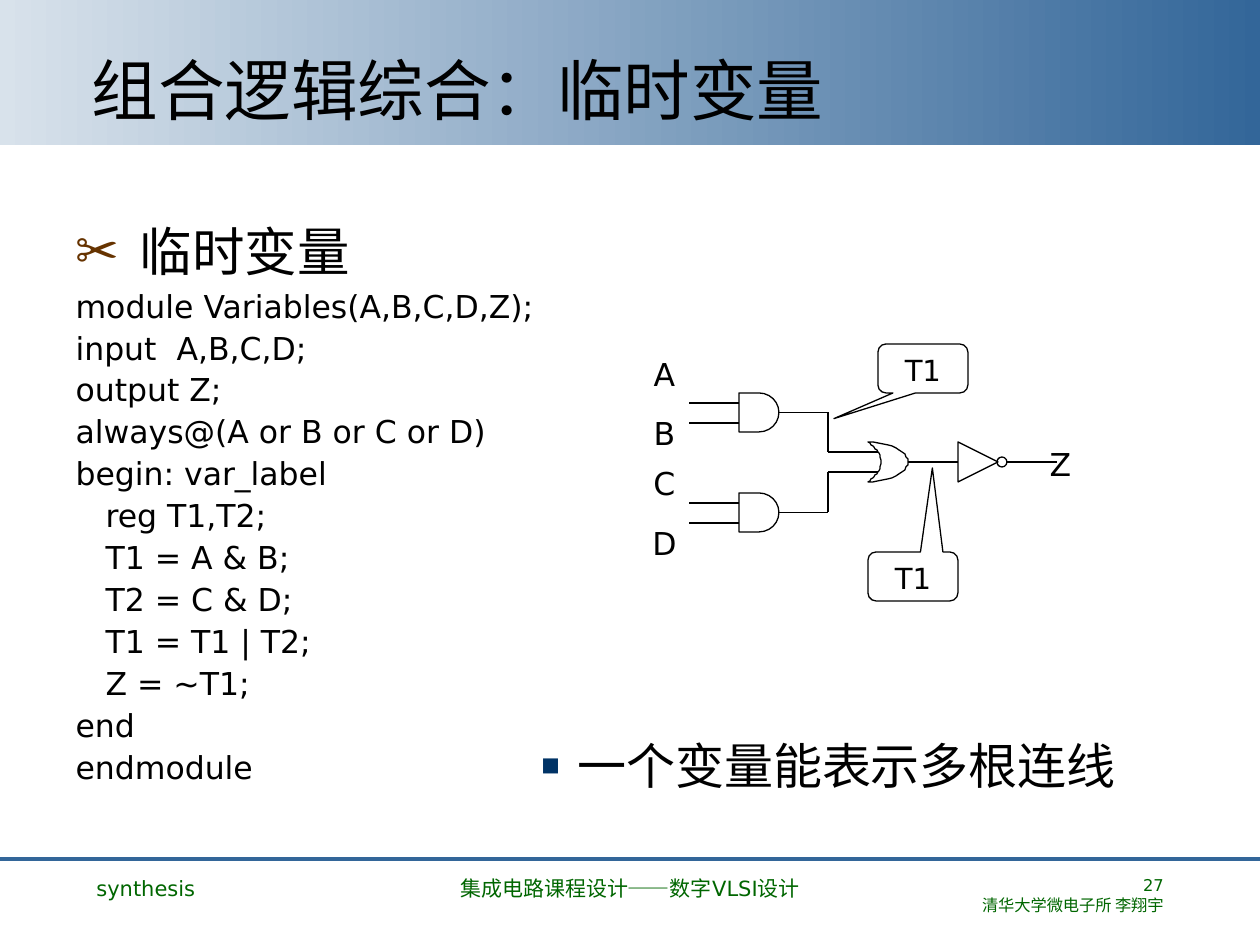
from lxml import etree
from pptx import Presentation
from pptx import util as u
from pptx.dml.color import RGBColor
from pptx.enum import shapes, text
from pptx.oxml.ns import qn

# Content
TITLE = "组合逻辑综合：临时变量"
HEAD = "临时变量"
CODE = [
    "module Variables(A,B,C,D,Z);",
    "input  A,B,C,D;",
    "output Z;",
    "always@(A or B or C or D)",
    "begin: var_label",
    "   reg T1,T2;",
    "   T1 = A & B;",
    "   T2 = C & D;",
    "   T1 = T1 | T2;",
    "   Z = ~T1;",
    "end",
    "endmodule",
]
NOTE = "一个变量能表示多根连线"
LABELS = [("A", 600, 344), ("B", 600, 403), ("C", 600, 453),
          ("D", 600, 513), ("Z", 1026, 434)]
CALLS = [("T1", 878, 344, (-0.99, 1.024)), ("T1", 868, 552, (0.216, -2.214))]
FOOT = [
    (["synthesis"], 84, 273, 12, "LEFT"),
    (["集成电路课程设计——数字VLSI设计"], 430, 400, 12, "CENTER"),
    (["27", "清华大学微电子所 李翔宇"], 903, 273, 9.3, "RIGHT"),
]
COLORS = {"ink": "000000", "pale": "D8E2EB", "blue": "336699",
          "foot": "006600", "cut": "663300", "dot": "003366"}
FONT = "DejaVu Sans"
PX = 914400 / 126
SHAPE, ALIGN, ANCHOR = shapes.MSO_SHAPE, text.PP_ALIGN, text.MSO_ANCHOR


def px(*vals):
    return [u.Emu(round(v * PX)) for v in vals]


def rgb(name):
    return RGBColor.from_string(COLORS[name])


prs = Presentation()
prs.slide_width, prs.slide_height = px(1260, 945)
slide = prs.slides.add_slide(prs.slide_layouts[1])
parts = slide.shapes


def write(para, words, size, color="ink", align="LEFT"):
    para.alignment = ALIGN[align]
    run = para.add_run()
    run.text = words
    run.font.size, run.font.name = u.Pt(size), FONT
    run.font.color.rgb = rgb(color)


def bullet(para, char=None, color="ink", pct=100, hang=64):
    props = para._p.get_or_add_pPr()
    left = px(hang)[0]
    props.set("marL", str(left))
    props.set("indent", str(-left))
    if not char:
        etree.SubElement(props, qn("a:buNone"))
        return
    fill = etree.SubElement(props, qn("a:buClr"))
    etree.SubElement(fill, qn("a:srgbClr")).set("val", COLORS[color])
    etree.SubElement(props, qn("a:buSzPct")).set("val", str(pct * 1000))
    etree.SubElement(props, qn("a:buFont")).set("typeface", FONT)
    etree.SubElement(props, qn("a:buChar")).set("char", char)


def label(box, wrap=False, anchor="MIDDLE"):
    frame = parts.add_textbox(*px(*box)).text_frame
    frame.word_wrap = wrap
    frame.vertical_anchor = ANCHOR[anchor]
    return frame


def outline(part):
    part.shadow.inherit = False
    part.fill.background()
    part.line.color.rgb, part.line.width = rgb("ink"), u.Pt(0.75)
    return part


def draw(kind, *box):
    return outline(parts.add_shape(SHAPE[kind], *px(*box)))


def wire(x1, y1, x2, y2, color="ink", width=0.75):
    line = parts.add_connector(shapes.MSO_CONNECTOR.STRAIGHT, *px(x1, y1, x2, y2))
    line.line.color.rgb, line.line.width = rgb(color), u.Pt(width)
    etree.SubElement(line.element.spPr, qn("a:effectLst"))
    return line


def curve(a, b, c, d, steps=12):
    for i in range(1, steps + 1):
        t = i / steps
        s = 1 - t
        yield tuple(s**3 * p + 3 * s * s * t * q + 3 * s * t * t * r + t**3 * e
                    for p, q, r, e in zip(a, b, c, d))


# Band and footer rule
band = parts.add_shape(SHAPE.RECTANGLE, *px(0, 0, 1260, 145))
band.shadow.inherit = False
band.line.fill.background()
band.fill.gradient()
band.fill.gradient_angle = 0
for stop, pos, name in zip(band.fill.gradient_stops, (0, 1), ("pale", "blue")):
    stop.position, stop.color.rgb = pos, rgb(name)
wire(0, 859, 1260, 859, "blue", 2.25)

# Two AND gates, each with its inputs and its path to the OR gate
for top, turn in ((393, 452), (493, 472)):
    gate = draw("FLOWCHART_DELAY", 739, top, 40, 39)
    mid = top + 19.5
    for y in (top + 10, top + 30):
        wire(739, y, 689, y)
    wire(779, mid, 828, mid).begin_connect(gate, 3)
    wire(828, mid, 828, turn)
    wire(828, turn, 878, turn)

# OR gate
bends = [((868, 482), (874, 477), (881, 472), (881, 462)),
         ((881, 462), (881, 452), (874, 447), (868, 442)),
         ((868, 442), (889, 442), (908, 451), (908, 462)),
         ((908, 462), (908, 473), (889, 482), (868, 482))]
pen = parts.build_freeform(868, 482, scale=PX)
pen.add_line_segments([spot for bend in bends for spot in curve(*bend)], close=True)
outline(pen.convert_to_shape())

# Inverter
draw("ISOSCELES_TRIANGLE", 958, 442, 40, 40).rotation = 90
draw("OVAL", 997, 457, 10, 10)
for x1, x2 in ((908, 958), (1007, 1057)):
    wire(x1, 462, x2, 462)

# Signal names and callouts
for name, x, y in LABELS:
    wide = 69 if name == "Z" else 129
    write(label((x, y, wide, 59)).paragraphs[0], name, 18, align="CENTER")
for name, x, y, tip in CALLS:
    call = draw("ROUNDED_RECTANGULAR_CALLOUT", x, y, 90, 49)
    call.adjustments[0], call.adjustments[1] = tip
    call.text_frame.vertical_anchor = ANCHOR.TOP
    write(call.text_frame.paragraphs[0], name, 16.6, align="CENTER")

# Remark
para = label((461, 680, 735, 169)).paragraphs[0]
bullet(para, "■", "dot", 40, 36)
write(para, NOTE, 28, align="CENTER")

# Title and code list, in front of the band
title, body = slide.placeholders
for holder, box, anchor in ((title, (79, 42, 1103, 93), "BOTTOM"),
                            (body, (63, 220, 544, 651), "TOP")):
    parts.element.append(holder.element)
    holder.left, holder.top, holder.width, holder.height = px(*box)
    holder.text_frame.auto_size = text.MSO_AUTO_SIZE.NONE
    holder.text_frame.vertical_anchor = ANCHOR[anchor]
write(title.text_frame.paragraphs[0], TITLE, 38)
frame = body.text_frame
for i, words in enumerate([HEAD] + CODE):
    para = frame.add_paragraph() if i else frame.paragraphs[0]
    para.line_spacing = 0.9
    para.space_before = u.Pt(4.5 if i else 0)
    bullet(para, None if i else "✂", "cut")
    write(para, words, 18 if i else 30)

# Footer
for lines, x, wide, size, align in FOOT:
    frame = label((x, 869, wide, 57), True, "TOP")
    for i, words in enumerate(lines):
        para = frame.add_paragraph() if i else frame.paragraphs[0]
        write(para, words, size, "foot", align)

prs.save("out.pptx")
